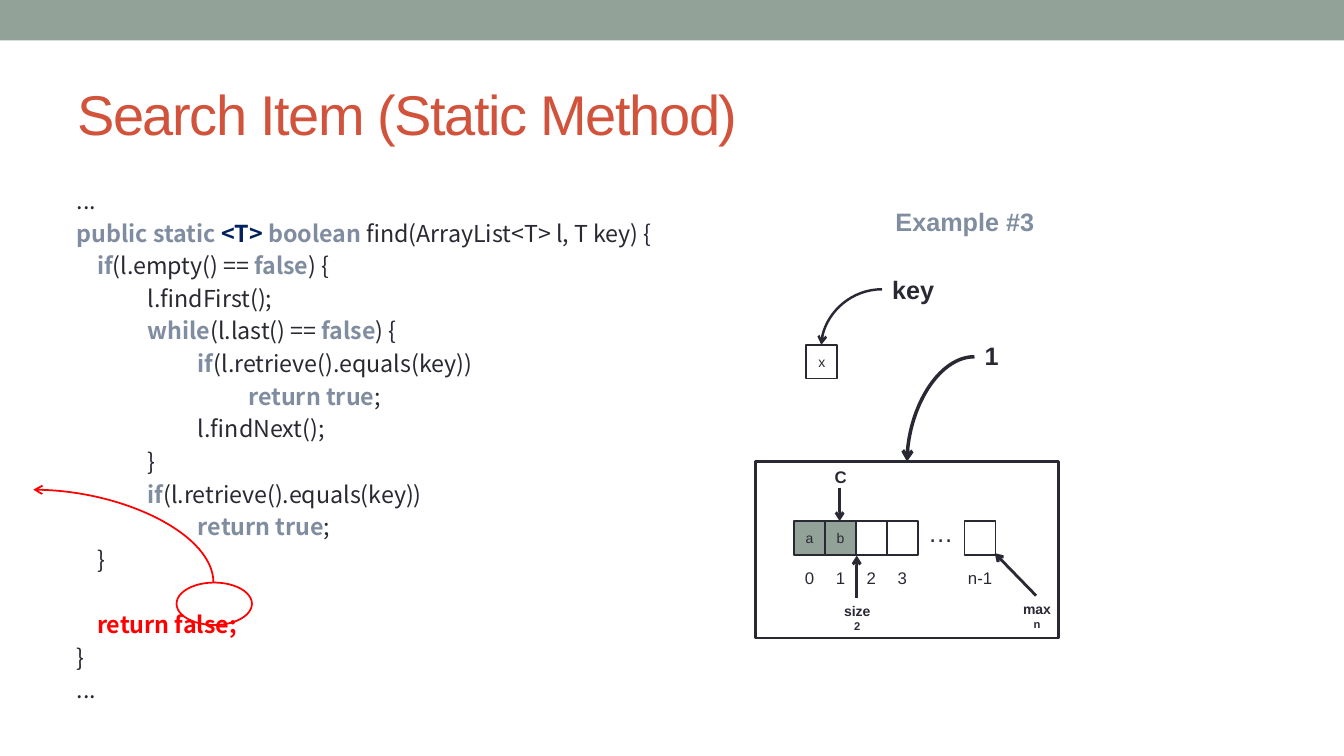
import pptx
import pptx.util
from pptx.dml.color import RGBColor
from pptx.enum.shapes import MSO_CONNECTOR, MSO_SHAPE
from pptx.enum.text import MSO_ANCHOR, MSO_AUTO_SIZE, PP_ALIGN
from pptx.oxml.ns import qn
from lxml import etree

Cm, Pt = pptx.util.Cm, pptx.util.Pt


class Theme:
    sage = RGBColor.from_string("93A299")
    brick = RGBColor.from_string("D2533C")
    ink = RGBColor.from_string("292934")
    slate = RGBColor.from_string("808DA0")
    navy = RGBColor.from_string("002060")
    red = RGBColor.from_string("FF0000")
    font, code_font = "Arial", "Noto Sans CJK SC"
    title, heading, code, index, small, tiny = 40, 18, 16.6, 12, 10, 8


def add_box(kind, x, y, w, h, fill=None, line=None, weight=1.25, text=""):
    sp = s.shapes.add_shape(kind, Cm(x), Cm(y), Cm(w), Cm(h))
    sp.shadow.inherit = False
    if fill is None:
        sp.fill.background()
    else:
        sp.fill.solid()
        sp.fill.fore_color.rgb = fill
    if line is None:
        sp.line.fill.background()
    else:
        sp.line.color.rgb = line
        sp.line.width = Pt(weight)
    if text:
        tf = sp.text_frame
        tf.margin_left = tf.margin_right = tf.margin_top = tf.margin_bottom = 0
        tf.text = text
        p = tf.paragraphs[0]
        p.alignment = PP_ALIGN.CENTER
        p.font.name, p.font.size = Theme.font, Pt(Theme.small)
        p.font.color.rgb = Theme.ink


def add_label(lines, x, y, w, h, sizes, bold=True, color=Theme.ink):
    tf = s.shapes.add_textbox(Cm(x), Cm(y), Cm(w), Cm(h)).text_frame
    tf.word_wrap = False
    tf.text = lines
    for p, size in zip(tf.paragraphs, sizes):
        p.alignment = PP_ALIGN.CENTER
        p.font.name, p.font.size, p.font.bold = Theme.font, Pt(size), bold
        p.font.color.rgb = color


prs = pptx.Presentation()
prs.slide_width, prs.slide_height = Cm(33.87), Cm(19.05)
s = prs.slides.add_slide(prs.slide_layouts[5])
add_box(MSO_SHAPE.RECTANGLE, 0, 0, 33.87, 1.02, fill=Theme.sage)

# Title
title = s.shapes.title
title.left, title.top, title.width, title.height = Cm(1.69), Cm(1.48), Cm(30.48), Cm(2.75)
tf = title.text_frame
tf.text = "Search Item (Static Method)"
tf.auto_size = MSO_AUTO_SIZE.NONE
tf.vertical_anchor = MSO_ANCHOR.MIDDLE
p = tf.paragraphs[0]
p.alignment = PP_ALIGN.LEFT
r = p.runs[0]
r.font.name, r.font.size = Theme.font, Pt(Theme.title)
r.font.color.rgb = Theme.brick
r.font._element.set("spc", "-100")

# Code: text between bars is highlighted
code = """...
|public static ||<T> ||boolean |find(ArrayList<T> l, T key) {
\t|if|(l.empty() == |false|) {
\t\tl.findFirst();
\t\t|while|(l.last() == |false|) {
\t\t\t|if|(l.retrieve().equals(key))
\t\t\t\t|return true|;
\t\t\tl.findNext();
\t\t}
\t\t|if|(l.retrieve().equals(key))
\t\t\t|return true|;
\t}
\t|return false;|
}
..."""
special = {"<T> ": Theme.navy, "return false;": Theme.red}
line_pitch = Pt(23.3)
tf = s.shapes.add_textbox(Cm(1.69), Cm(4.45), Cm(30.48), Cm(13.55)).text_frame
tf.word_wrap = True
for i, code_line in enumerate(code.split("\n")):
    p = tf.paragraphs[0] if i == 0 else tf.add_paragraph()
    pPr = p._p.get_or_add_pPr()
    pPr.set("marL", str(Cm(0.51)))
    pPr.set("indent", str(-Cm(0.51)))
    p.line_spacing = line_pitch
    if "return false" in code_line:
        p.space_before = line_pitch
    for j, part in enumerate(code_line.split("|")):
        if part:
            r = p.add_run()
            r.text = part
            highlighted = j % 2 == 1
            r.font.name, r.font.size = Theme.code_font, Pt(Theme.code)
            r.font.bold = highlighted
            r.font.color.rgb = special.get(part, Theme.slate) if highlighted else Theme.ink

# Array cells with their indexes
cell_w, cell_h, cell_y, first_x = 0.78, 0.85, 13.13, 20.01
cells = [(first_x + i * cell_w, str(i), item) for i, item in enumerate(["a", "b", "", ""])]
cells.append((24.31, "n-1", ""))
for x, index, item in cells:
    add_box(MSO_SHAPE.RECTANGLE, x, cell_y, cell_w, cell_h,
            Theme.sage if item else None, Theme.ink, text=item)
    add_label(index, x + cell_w / 2 - 0.6, 14.17, 1.2, 0.76, [Theme.index], bold=False)
add_label("…", 23.14, 12.9, 1.14, 1.02, [Theme.heading], bold=False)

# List frame, key cell and return value ring
add_box(MSO_SHAPE.RECTANGLE, 19.05, 11.63, 7.62, 4.45, line=Theme.ink, weight=2)
add_box(MSO_SHAPE.RECTANGLE, 20.32, 8.69, cell_w, cell_h, line=Theme.ink, text="x")
add_box(MSO_SHAPE.OVAL, 4.45, 14.68, 1.9, 1.07, line=Theme.red)

add_label("C", 20.78, 11.63, 0.81, 0.76, [Theme.index])
add_label("size\n2", 21.01, 15.06, 1.19, 1.02, [Theme.small, Theme.tiny])
add_label("max\nn", 25.5, 15.01, 1.27, 1.02, [Theme.small, Theme.tiny])
add_label("1", 24.56, 8.46, 0.86, 1.02, [Theme.heading])
add_label("key", 22.23, 6.78, 1.57, 1.02, [Theme.heading])
add_label("Example #3", 22.23, 5.08, 4.17, 1.02, [Theme.heading], color=Theme.slate)

# Arrows: start, end, weight, colour, curved, arrowhead end
arrows = [
    (21.16, 12.29, 21.16, 13.13, 2, Theme.ink, False, "tailEnd"),
    (21.59, 15.06, 21.59, 14.0, 2, Theme.ink, False, "tailEnd"),
    (26.11, 15.01, 25.07, 13.94, 2, Theme.ink, False, "tailEnd"),
    (24.56, 8.99, 22.86, 11.63, 2.5, Theme.ink, True, "tailEnd"),
    (22.23, 7.29, 20.7, 8.69, 1.75, Theme.ink, True, "tailEnd"),
    (0.84, 12.34, 5.38, 14.68, 1.25, Theme.red, True, "headEnd"),
]
for x1, y1, x2, y2, weight, color, curved, end in arrows:
    kind = MSO_CONNECTOR.CURVE if curved else MSO_CONNECTOR.STRAIGHT
    cxn = s.shapes.add_connector(kind, Cm(x1), Cm(y1), Cm(x2), Cm(y2))
    cxn.line.color.rgb = color
    cxn.line.width = Pt(weight)
    spPr = cxn._element.spPr
    if curved:
        spPr.find(qn("a:prstGeom")).set("prst", "curvedConnector2")
    etree.SubElement(spPr.find(qn("a:ln")), qn(f"a:{end}")).set("type", "arrow")
    etree.SubElement(spPr, qn("a:effectLst"))

prs.save("out.pptx")
